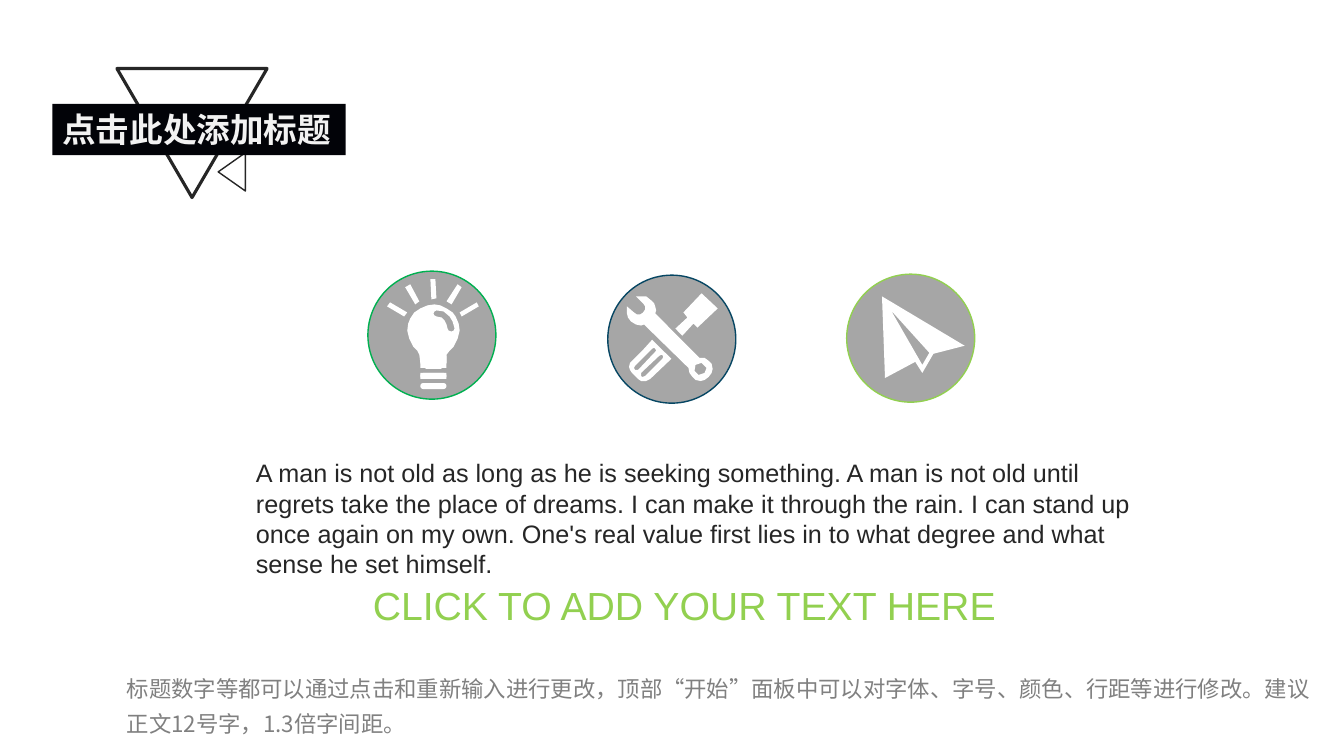
import pptx
import pptx.util
import pptx.dml.color
import pptx.enum.shapes
import pptx.enum.text
import pptx.oxml.ns
import lxml.etree

Pt = pptx.util.Pt
PRESET = pptx.enum.shapes.MSO_SHAPE
ANCHOR = pptx.enum.text.MSO_ANCHOR

COLOURS = {
    "white": "FFFFFF", "disc": "A6A6A6", "blue": "064663", "green": "00B050",
    "lime": "92D050", "ink": "262626", "band": "020308", "pale": "F2F2F2",
    "grey": "808080",
}
CJK, LATIN = "Noto Sans CJK SC", "Arial"

TITLE = "点击此处添加标题"
NOTE = ("标题数字等都可以通过点击和重新输入进行更改，顶部“开始”面板中可以对字体、"
        "字号、颜色、行距等进行修改。建议正文12号字，1.3倍字间距。")
PROMPT = "CLICK TO ADD YOUR TEXT HERE"
QUOTE = ("A man is not old as long as he is seeking something. A man is not old until "
         "regrets take the place of dreams. I can make it through the rain. I can stand up "
         "once again on my own. One's real value first lies in to what degree and what "
         "sense he set himself.")

# text, box, size, font, colour, line spacing
TEXTS = [
    (NOTE, (83.52, 473.04, 866.88, 57.6), 16, CJK, "grey", 1.3),
    (PROMPT, (259.2, 411.84, 480.24, 41.04), 28, LATIN, "lime", None),
    (QUOTE, (175.68, 323.28, 654.48, 94.32), 18, LATIN, "ink", None),
]

DISC_SIZE = 91.44
DISCS = [(434.16, 196.56, "blue"), (262.8, 193.68, "green"), (604.8, 195.84, "lime")]

# preset, box, rotation, fill, line width
TRIANGLES = [
    ((151.92, 113.04, 27.36, 19.44), 270, None, 1),
    ((83.52, 48.96, 107.28, 92.16), 180, "white", 2.25),
]

BULB_X, BULB_WIDTH = 300.24, 18.72
BULB_BARS = [
    (PRESET.ROUNDED_RECTANGLE, 266.4, 4.32),
    (PRESET.ROUNDED_RECTANGLE, 273.6, 4.32),
    (PRESET.RECTANGLE, 254.16, 8.64),
    (PRESET.RECTANGLE, 266.4, 4.32),
]

# Icon outlines, on a grid of 0.72 points; each outline is a list of contours
GRID = 0.72
BULB = [
    [(431, 302), (424, 303), (417, 306), (411, 310), (407, 316), (405, 321), (404, 328),
     (406, 336), (410, 344), (414, 348), (416, 352), (417, 360), (419, 364), (423, 366),
     (437, 366), (441, 364), (443, 360), (443, 352), (446, 348), (450, 344), (454, 336),
     (456, 328), (455, 321), (452, 314), (449, 310), (443, 306), (437, 303)],
    [(448, 329), (445, 328), (444, 326), (443, 322), (441, 318), (438, 315), (433, 314),
     (431, 313), (430, 311), (431, 309), (433, 308), (440, 309), (446, 314), (449, 319),
     (451, 326), (450, 328)],
]
RAYS = [
    [(433, 296), (428, 297), (427, 277), (432, 277)],
    [(412, 302), (402, 285), (407, 282), (416, 299)],
    [(387, 300), (404, 310), (401, 314), (384, 304)],
    [(473, 300), (456, 310), (458, 314), (475, 304)],
    [(448, 302), (443, 299), (454, 282), (458, 285)],
]
WRENCH = [
    [(694, 355), (650, 311), (651, 308), (650, 304), (649, 301), (646, 298), (641, 294),
     (636, 293.5), (631, 294), (638, 301), (640, 304), (640, 307), (638, 310), (635, 312),
     (632, 312), (629, 310), (622, 304), (622, 311), (623, 315), (626, 319), (631, 322),
     (636, 323), (639, 322), (683, 365), (684, 370), (687, 374), (690, 377), (695, 378),
     (699, 377), (703, 374), (706, 370), (707, 366), (706, 361), (703, 358), (699, 355)],
    [(699, 370), (693, 372), (689, 368), (690, 362), (696, 360), (701, 365)],
]
HANDLE = [
    [(638, 347), (627, 358), (625, 360), (624, 364), (625, 367), (627, 370), (633, 376),
     (636, 378), (641, 378), (645, 376), (666, 356), (647, 337)],
    [(657, 352), (658, 354), (657, 356), (640, 373), (637, 374), (636, 373), (636, 370),
     (654, 353), (656, 352)],
    [(650, 346), (651, 348), (650, 349), (633, 367), (630, 367), (629, 365), (630, 363),
     (647, 346), (649, 345)],
]
BLADE = [[(677, 333), (688, 321), (692, 325), (712, 306), (696, 291), (678, 310),
          (682, 315), (670, 326)]]
PLANE = [
    [(875, 294), (878, 375), (908, 359), (915, 370), (926, 351), (957, 343)],
    [(915, 362), (884, 308), (922, 350)],
]
ICON_OUTLINES = [BULB, *([ray] for ray in RAYS), WRENCH, HANDLE, BLADE, PLANE]


def rgb(name):
    return pptx.dml.color.RGBColor.from_string(COLOURS[name])


def paint(shape, fill=None, line=None, width=1):
    shape.shadow.inherit = False
    if fill:
        shape.fill.solid()
        shape.fill.fore_color.rgb = rgb(fill)
    else:
        shape.fill.background()
    if line:
        shape.line.color.rgb = rgb(line)
        shape.line.width = Pt(width)
    else:
        shape.line.fill.background()


def add_preset(slide, preset, box, **style):
    shape = slide.shapes.add_shape(preset, *map(Pt, box))
    paint(shape, **style)
    return shape


def add_outline(slide, contours):
    builder = None
    for start, *rest in contours:
        if builder is None:
            builder = slide.shapes.build_freeform(*start, scale=Pt(GRID))
        else:
            builder.move_to(*start)
        builder.add_line_segments(rest, close=True)
    paint(builder.convert_to_shape(), fill="white")


def write(shape, text, size, face, colour, spacing=None, bold=False):
    shape.text_frame.word_wrap = True
    paragraph = shape.text_frame.paragraphs[0]
    paragraph.alignment = pptx.enum.text.PP_ALIGN.LEFT
    if spacing:
        paragraph.line_spacing = spacing
    run = paragraph.add_run()
    run.text = text
    run.font.size = Pt(size)
    run.font.bold = bold
    run.font.color.rgb = rgb(colour)
    run.font.name = face
    east_asian = lxml.etree.SubElement(run.font._element, pptx.oxml.ns.qn("a:ea"))
    east_asian.set("typeface", face)


def main():
    deck = pptx.Presentation()
    deck.slide_width, deck.slide_height = Pt(960), Pt(540)
    slide = deck.slides.add_slide(deck.slide_layouts[6])

    for box, rotation, fill, width in TRIANGLES:
        triangle = add_preset(slide, PRESET.ISOSCELES_TRIANGLE, box,
                              fill=fill, line="ink", width=width)
        triangle.rotation = rotation

    band = add_preset(slide, PRESET.RECTANGLE, (37.44, 74.16, 209.52, 36.72), fill="band")
    band.text_frame.vertical_anchor = ANCHOR.MIDDLE
    write(band, TITLE, 24, CJK, "pale", bold=True)

    for text, box, size, face, colour, spacing in TEXTS:
        write(slide.shapes.add_textbox(*map(Pt, box)), text, size, face, colour, spacing)

    for left, top, ring in DISCS:
        add_preset(slide, PRESET.OVAL, (left, top, DISC_SIZE, DISC_SIZE),
                   fill="disc", line=ring)

    for preset, top, height in BULB_BARS:
        bar = add_preset(slide, preset, (BULB_X, top, BULB_WIDTH, height), fill="white")
        if preset == PRESET.ROUNDED_RECTANGLE:
            bar.adjustments[0] = 0.5

    for contours in ICON_OUTLINES:
        add_outline(slide, contours)

    deck.save("out.pptx")


if __name__ == "__main__":
    main()
